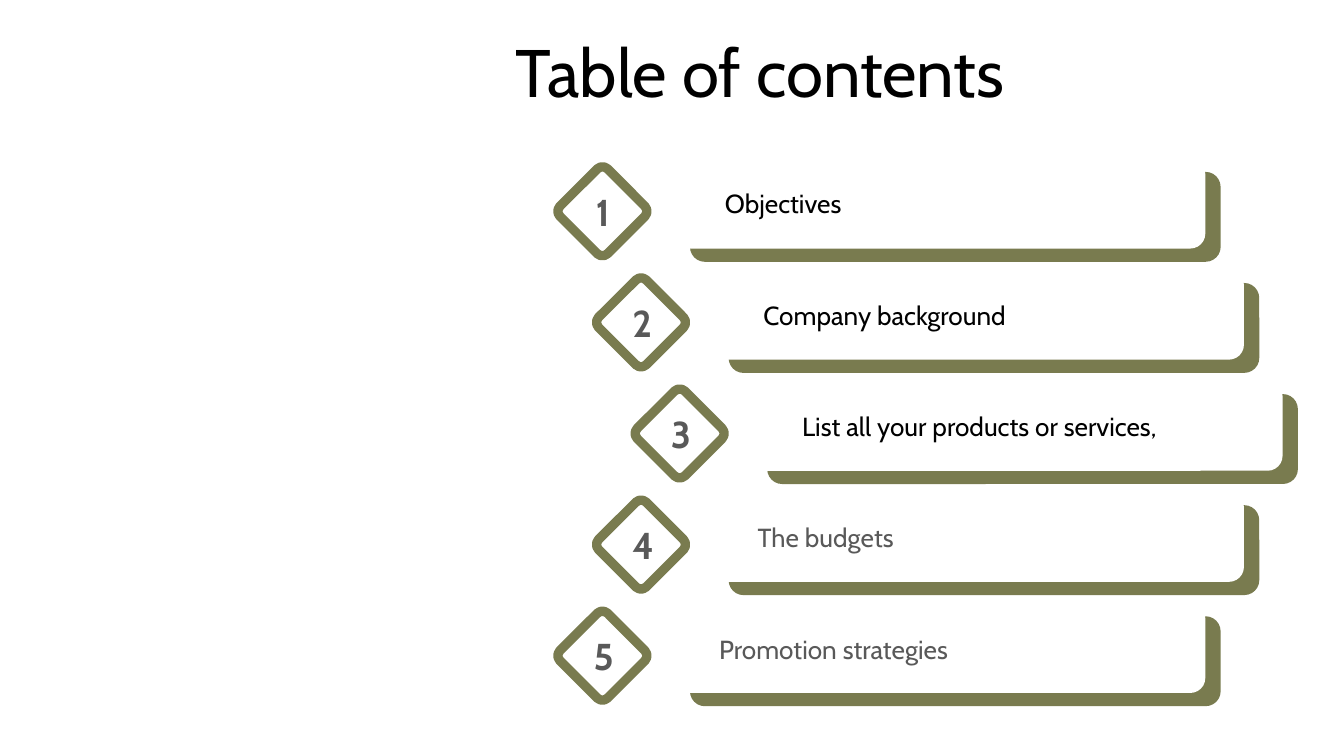
from pptx import Presentation
from pptx.dml.color import RGBColor as RGB
from pptx.enum.shapes import MSO_SHAPE as Shape
from pptx.enum.text import MSO_ANCHOR as Anchor, PP_ALIGN as Align
from pptx.util import Cm, Pt

COLORS = {"olive": "797B4F", "white": "FFFFFF", "black": "000000", "gray": "595959"}
FONT = "Cabin"
ITEMS = [
    # text, steps to the right, colour, raised label box
    ("Objectives", 0, "black", True),
    ("Company background", 1, "black", True),
    ("List all your products or services,", 2, "black", True),
    ("The budgets", 1, "gray", False),
    ("Promotion strategies", 0, "gray", False),
]
INDENT, PITCH = 0.73, 2.1
ROW_LEFT, ROW_TOP = 10.75, 3.0


def add_text(shapes, box, text, size, color, bold=False,
             align=Align.LEFT, anchor=Anchor.MIDDLE):
    frame = shapes.add_textbox(*map(Cm, box)).text_frame
    frame.word_wrap = True
    frame.vertical_anchor = anchor
    para = frame.paragraphs[0]
    para.alignment = align
    run = para.add_run()
    run.text = text
    font = run.font
    font.name, font.size, font.bold = FONT, Pt(size), bold
    font.color.rgb = RGB.from_string(COLORS[color])


def add_round(shapes, box, fill, line=None):
    """Add a rounded rectangle, with a thick outline if line is given."""
    shape = shapes.add_shape(Shape.ROUNDED_RECTANGLE, *map(Cm, box))
    shape.shadow.inherit = False
    shape.fill.solid()
    shape.fill.fore_color.rgb = RGB.from_string(COLORS[fill])
    if line:
        shape.line.color.rgb = RGB.from_string(COLORS[line])
        shape.line.width = Pt(5)
    else:
        shape.line.fill.background()
    return shape


def add_card(shapes, left, top, text, color, raised):
    wide, high = 10.03, 1.7
    add_round(shapes, (left + 0.29, top + 0.25, wide, high), "olive")
    add_round(shapes, (left, top, wide, high), "white")
    if raised:
        box, anchor = (left + 0.7, top - 0.18, 8.3, 1.45), Anchor.BOTTOM
    else:
        box, anchor = (left + 0.59, top + 0.43, 8.41, 0.86), Anchor.MIDDLE
    add_text(shapes, box, text, 14, color, anchor=anchor)


def add_badge(shapes, left, top, number):
    diamond = add_round(shapes, (left, top, 1.27, 1.27), "white", "olive")
    diamond.adjustments[0] = 0.107
    diamond.rotation = 45
    add_text(shapes, (left + 0.22, top + 0.08, 0.84, 1.12), str(number), 20,
             "gray", bold=True, align=Align.CENTER)


def add_row(slide, left, top, number, text, color, raised):
    shapes = slide.shapes.add_group_shape().shapes
    add_card(shapes, left + 2, top, text, color, raised)
    add_badge(shapes, left, top + 0.36, number)


def main():
    deck = Presentation()
    deck.slide_width, deck.slide_height = Cm(25.4), Cm(14.29)
    slide = deck.slides.add_slide(deck.slide_layouts[6])
    add_text(slide.shapes, (9.5, 0.53, 15.9, 1.6), "Table of contents", 36, "black")
    for i, (text, steps, color, raised) in enumerate(ITEMS):
        add_row(slide, ROW_LEFT + steps * INDENT, ROW_TOP + i * PITCH,
                i + 1, text, color, raised)
    deck.save("out.pptx")


if __name__ == "__main__":
    main()
